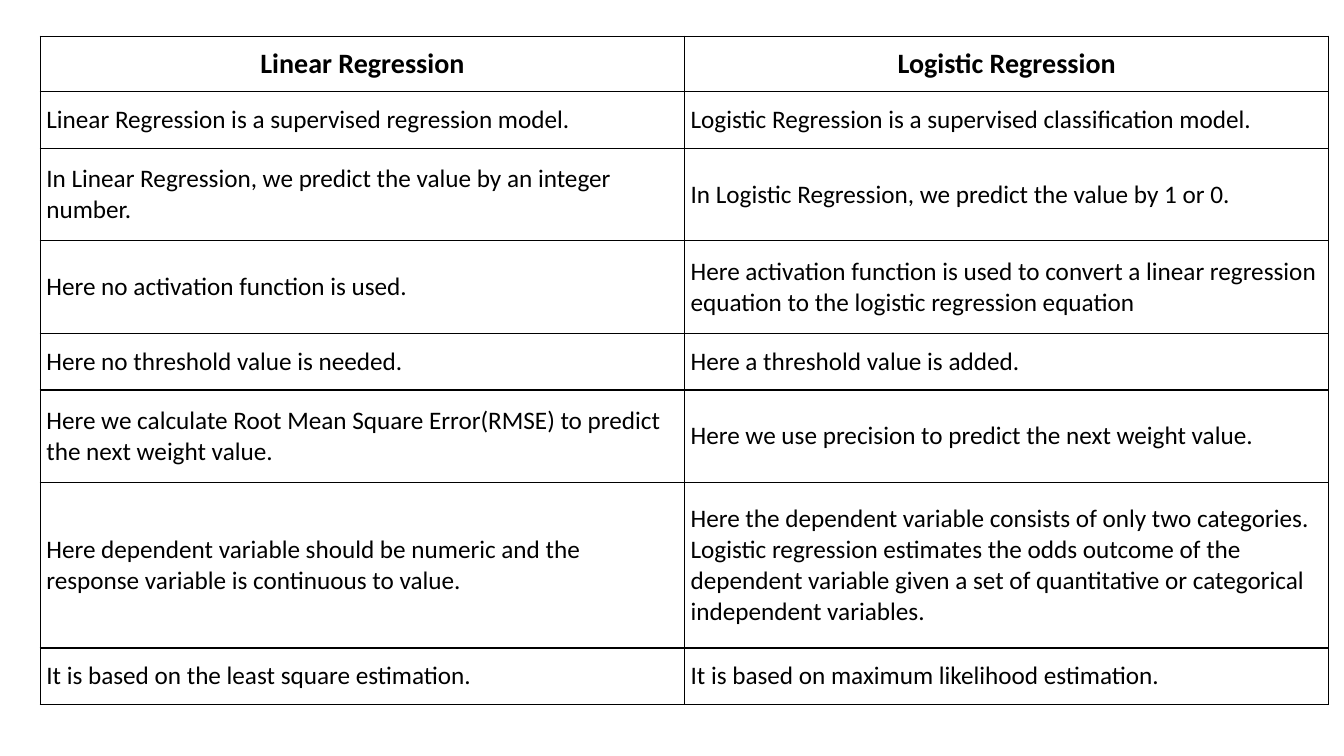
from lxml import etree
from pptx import Presentation
from pptx.dml.color import RGBColor
from pptx.enum.text import MSO_ANCHOR, PP_ALIGN
from pptx.oxml.ns import qn
from pptx.util import Inches, Pt

MIDDLE = MSO_ANCHOR.MIDDLE
CENTER = PP_ALIGN.CENTER
LEFT = PP_ALIGN.LEFT
BLACK = "000000"

COMPARISON = [
    ("Linear Regression", "Logistic Regression"),
    ("Linear Regression is a supervised regression model.",
     "Logistic Regression is a supervised classification model."),
    ("In Linear Regression, we predict the value by an integer number.",
     "In Logistic Regression, we predict the value by 1 or 0."),
    ("Here no activation function is used.",
     "Here activation function is used to convert a linear regression equation "
     "to the logistic regression equation"),
    ("Here no threshold value is needed.", "Here a threshold value is added."),
    ("Here we calculate Root Mean Square Error(RMSE) to predict the next weight value.",
     "Here we use precision to predict the next weight value."),
    ("Here dependent variable should be numeric and the response variable is "
     "continuous to value.",
     "Here the dependent variable consists of only two categories. Logistic "
     "regression estimates the odds outcome of the dependent variable given a set "
     "of quantitative or categorical independent variables."),
    ("It is based on the least square estimation.",
     "It is based on maximum likelihood estimation."),
]
ROW_HEIGHTS = [0.55, 0.56, 0.92, 0.92, 0.56, 0.92, 1.64, 0.56]
HEADER_FONT = {"name": "Calibri", "size": Pt(20), "bold": True}
BODY_FONT = {"name": "Calibri", "size": Pt(18), "bold": False}


def set_color(color_format, color):
    color_format.rgb = RGBColor.from_string(color)


def add_borders(cell, color, width):
    properties = cell._tc.get_or_add_tcPr()
    for side in ("lnL", "lnR", "lnT", "lnB"):
        line = etree.SubElement(properties, qn(f"a:{side}"), w=str(width))
        fill = etree.SubElement(line, qn("a:solidFill"))
        etree.SubElement(fill, qn("a:srgbClr"), val=color)


presentation = Presentation()
presentation.slide_width = Inches(13.33)
presentation.slide_height = Inches(7.5)
slide = presentation.slides.add_slide(presentation.slide_layouts[6])

table = slide.shapes.add_table(
    len(COMPARISON), 2, Inches(0.4), Inches(0.36),
    Inches(12.78), Inches(sum(ROW_HEIGHTS))).table
table.first_row = False
table.horz_banding = False
for column in table.columns:
    column.width = Inches(6.39)

for row_index, (row, texts) in enumerate(zip(table.rows, COMPARISON)):
    is_header = row_index == 0
    row.height = Inches(ROW_HEIGHTS[row_index])
    vertical_margin = Inches(0.06 if is_header else 0.09)
    cell_format = {
        "vertical_anchor": MIDDLE,
        "margin_left": Inches(0.06),
        "margin_right": Inches(0.06),
        "margin_top": vertical_margin,
        "margin_bottom": vertical_margin,
    }
    for cell, text in zip(row.cells, texts):
        for name, value in cell_format.items():
            setattr(cell, name, value)
        add_borders(cell, BLACK, Pt(1))
        cell.fill.background()
        cell.text = text
        paragraph = cell.text_frame.paragraphs[0]
        paragraph.alignment = CENTER if is_header else LEFT
        font = paragraph.runs[0].font
        for name, value in (HEADER_FONT if is_header else BODY_FONT).items():
            setattr(font, name, value)
        set_color(font.color, BLACK)

presentation.save("out.pptx")
